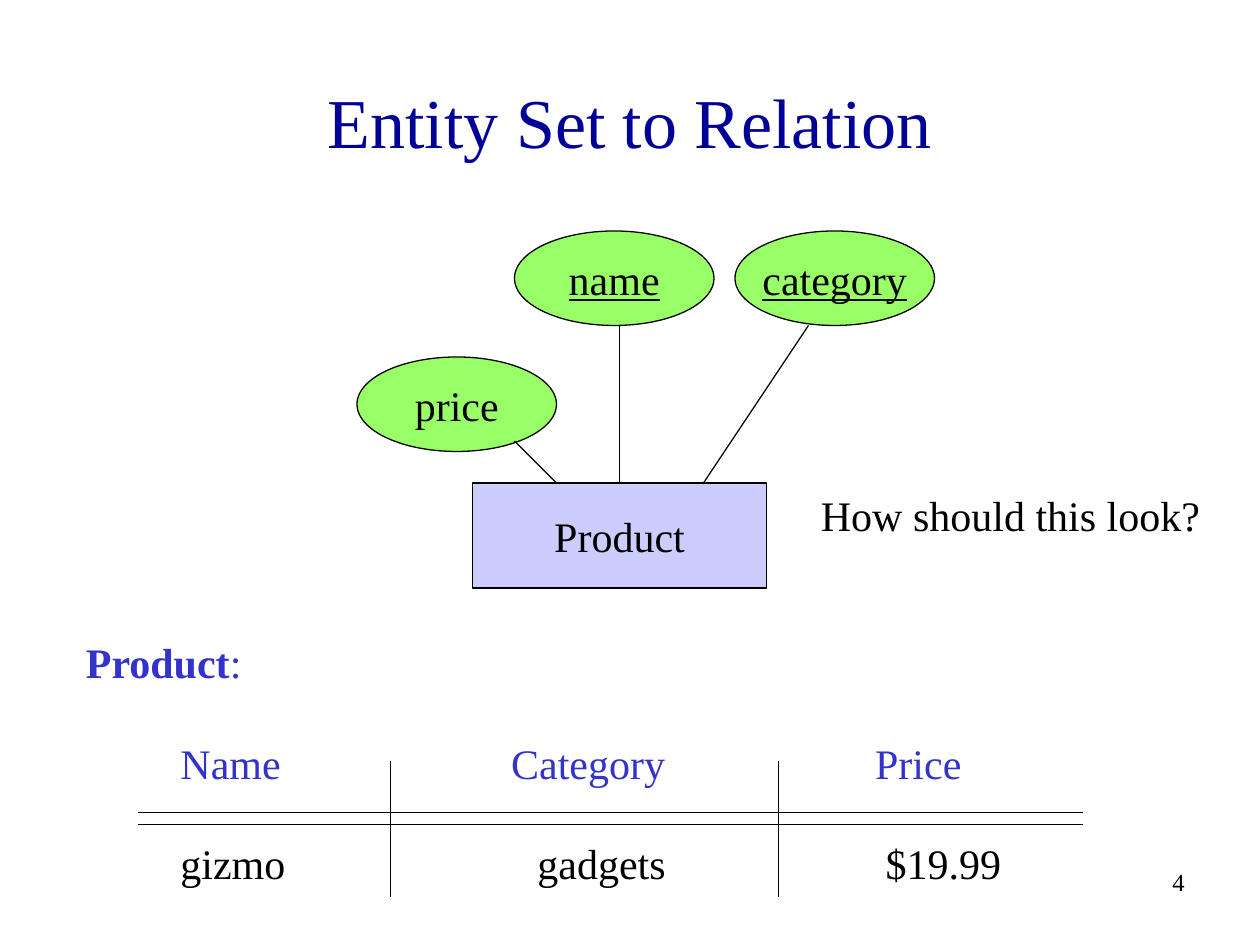
from dataclasses import dataclass

from lxml.etree import SubElement
from pptx import Presentation
from pptx.dml.color import RGBColor
from pptx.enum.shapes import MSO_CONNECTOR, MSO_SHAPE
from pptx.enum.text import MSO_ANCHOR, PP_ALIGN
from pptx.oxml.ns import qn
from pptx.util import Pt

FONT = "Times New Roman"
BLACK, NAVY, BLUE = "000000", "000099", "3333CC"
GREEN, LAVENDER = "99FF66", "CCCCFF"
LINE_WIDTH = 0.75
LINE_HEIGHT = 1.2
TEXT_SIZE = 24


@dataclass
class Attribute:
    name: str
    left: float
    top: float
    is_key: bool
    line_start: tuple[float, float]
    line_end: tuple[float, float]


@dataclass
class Row:
    cells: list[str]
    stops: list[float]
    color: str


ATTRIBUTES = [
    Attribute("name", 294, 132, True, (354, 276), (354, 186)),
    Attribute("category", 420, 132, True, (402, 276), (462, 186)),
    Attribute("price", 204, 204, False, (318, 276), (294, 252)),
]
ROWS = [
    Row(["Name", "Category", "Price"], [54, 243, 451], BLUE),
    Row(["gizmo", "gadgets", "$19.99"], [54, 258, 457], BLACK),
]


def rgb(color: str) -> RGBColor:
    return RGBColor.from_string(color)


def write(paragraph, text: str, *, size=TEXT_SIZE, color=BLACK, bold=False,
          underline=False, align=PP_ALIGN.LEFT, space_before=0) -> None:
    """Add one formatted run to a paragraph."""
    paragraph.alignment = align
    paragraph.line_spacing = Pt(size * LINE_HEIGHT)
    paragraph.space_before = Pt(space_before)
    run = paragraph.add_run()
    run.text = text
    font = run.font
    font.name, font.size, font.color.rgb = FONT, Pt(size), rgb(color)
    font.bold, font.underline = bold, underline


def add_text_box(slide, left, top, width, height, anchor=MSO_ANCHOR.TOP):
    frame = slide.shapes.add_textbox(Pt(left), Pt(top), Pt(width), Pt(height)).text_frame
    frame.word_wrap = True
    frame.vertical_anchor = anchor
    return frame


def add_node(slide, kind, left, top, width, height, fill, text, underline=False):
    shape = slide.shapes.add_shape(kind, Pt(left), Pt(top), Pt(width), Pt(height))
    shape.shadow.inherit = False
    shape.fill.solid()
    shape.fill.fore_color.rgb = rgb(fill)
    shape.line.color.rgb = rgb(BLACK)
    shape.line.width = Pt(LINE_WIDTH)
    frame = shape.text_frame
    frame.word_wrap = False
    frame.vertical_anchor = MSO_ANCHOR.MIDDLE
    write(frame.paragraphs[0], text, underline=underline, align=PP_ALIGN.CENTER)
    return shape


def add_line(slide, start: tuple[float, float], end: tuple[float, float]):
    line = slide.shapes.add_connector(
        MSO_CONNECTOR.STRAIGHT, *(Pt(value) for value in start + end))
    line.line.color.rgb = rgb(BLACK)
    line.line.width = Pt(LINE_WIDTH)
    SubElement(line._element.spPr, qn("a:effectLst"))
    return line


def add_row(frame, row: Row) -> None:
    """Add a paragraph whose cells sit on tab stops."""
    paragraph = frame.add_paragraph()
    write(paragraph, "\t" + "\t".join(row.cells), color=row.color,
          space_before=TEXT_SIZE * LINE_HEIGHT)
    tab_list = SubElement(paragraph._p.get_or_add_pPr(), qn("a:tabLst"))
    for stop in row.stops:
        SubElement(tab_list, qn("a:tab"), pos=str(Pt(stop)), algn="l")


def main() -> None:
    presentation = Presentation()
    presentation.slide_width, presentation.slide_height = Pt(720), Pt(540)
    slide = presentation.slides.add_slide(presentation.slide_layouts[6])

    # Page number and title
    number = add_text_box(slide, 534, 492, 150, 36)
    write(number.paragraphs[0], "4", size=14, align=PP_ALIGN.RIGHT)
    title = add_text_box(slide, 54, 24, 612, 90, MSO_ANCHOR.MIDDLE)
    write(title.paragraphs[0], "Entity Set to Relation", size=40, color=NAVY,
          align=PP_ALIGN.CENTER)

    # Entity set with its attributes
    product = add_node(slide, MSO_SHAPE.RECTANGLE, 270, 276, 168, 60, LAVENDER, "Product")
    for attribute in ATTRIBUTES:
        add_node(slide, MSO_SHAPE.OVAL, attribute.left, attribute.top, 114, 54,
                 GREEN, attribute.name, attribute.is_key)
    top_middle = (354, 276)
    for attribute in ATTRIBUTES:
        line = add_line(slide, attribute.line_start, attribute.line_end)
        if attribute.line_start == top_middle:
            line.begin_connect(product, 0)

    # Relation
    relation = add_text_box(slide, 42, 360, 538, 151)
    heading = relation.paragraphs[0]
    write(heading, "Product", color=BLUE, bold=True)
    write(heading, ":", color=BLUE)
    for row in ROWS:
        add_row(relation, row)
    for y in (464.5, 471):
        add_line(slide, (79, y), (619, y))
    for x in (223, 445):
        add_line(slide, (x, 435), (x, 512.5))

    # Question
    question = add_text_box(slide, 462, 276, 240, 36)
    write(question.paragraphs[0], "How should this look?")

    presentation.save("out.pptx")


if __name__ == "__main__":
    main()
